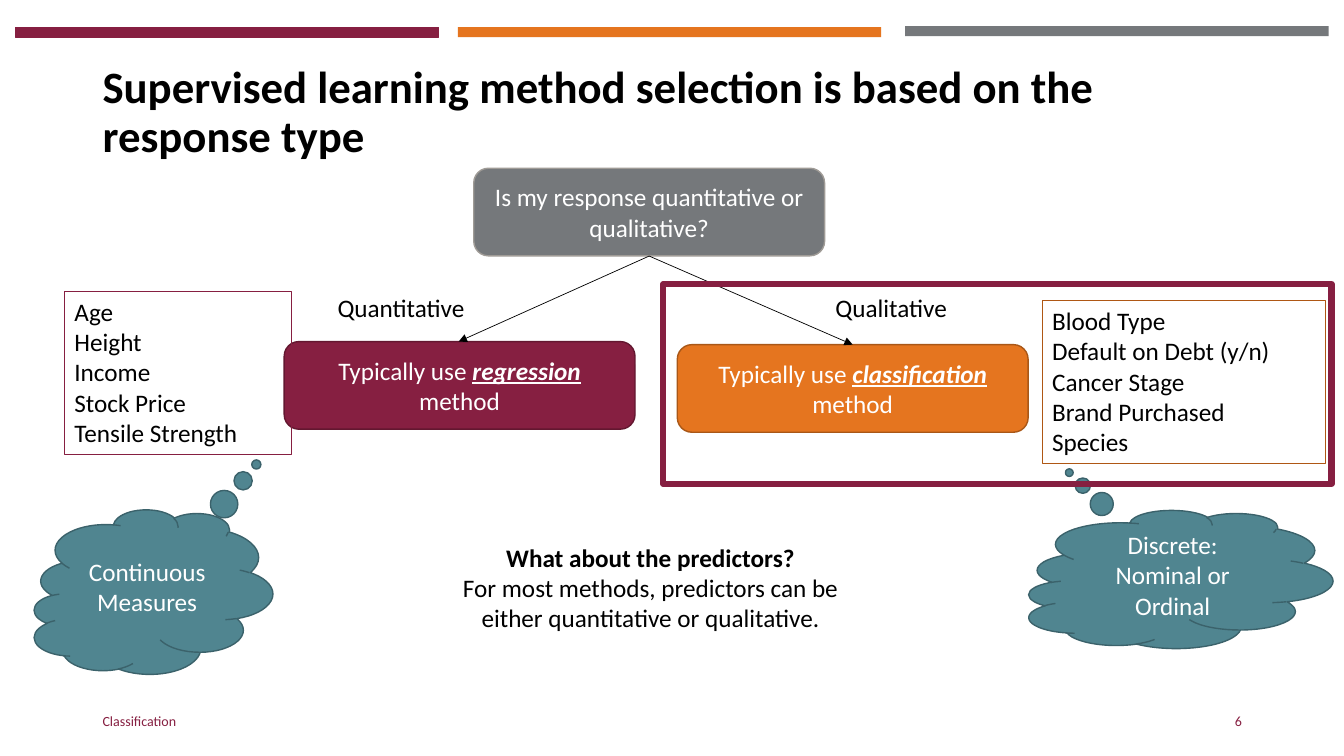
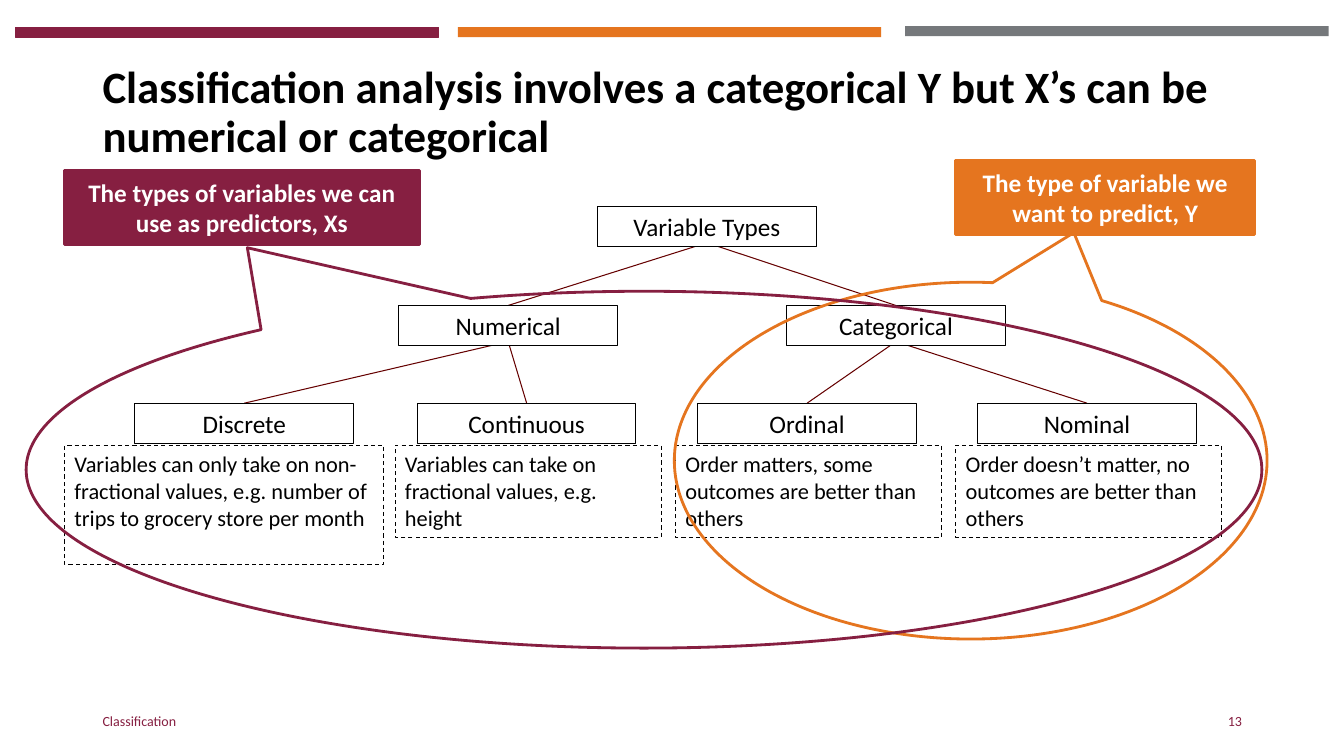
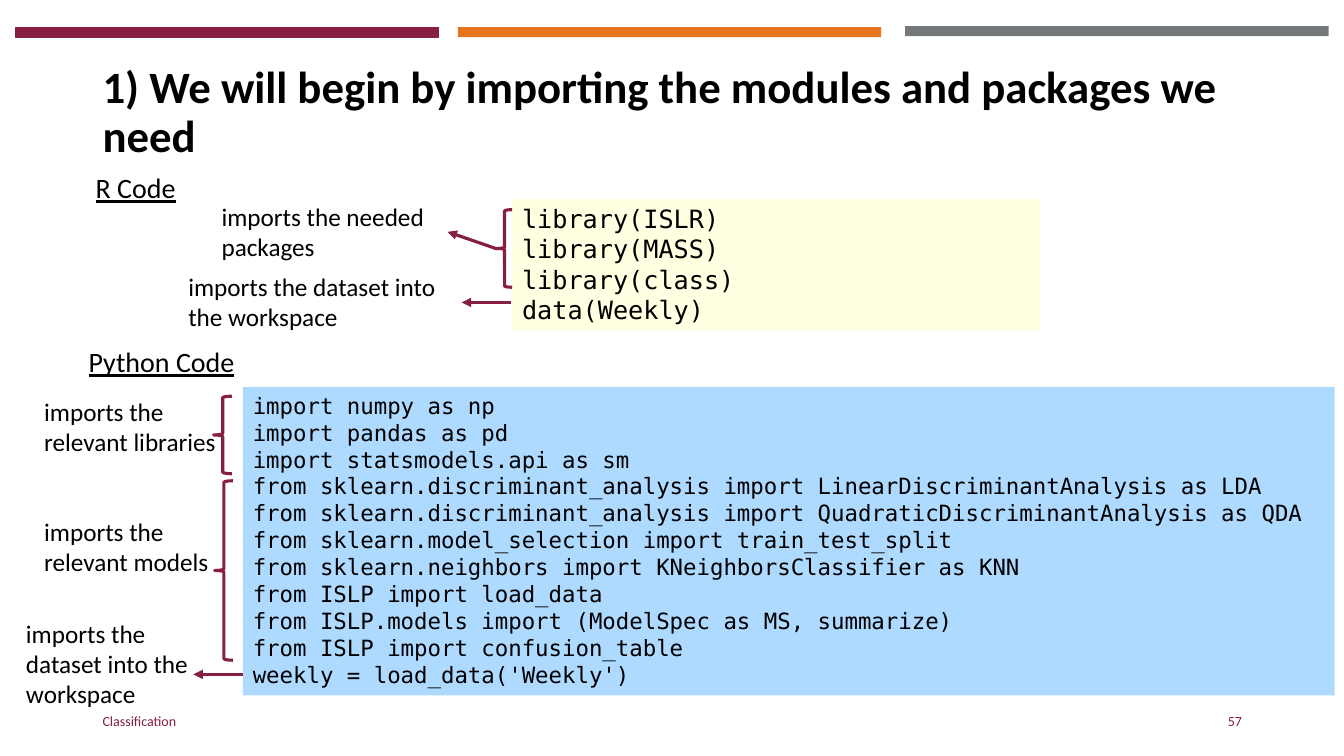
from lxml.etree import SubElement
from pptx import Presentation
from pptx.dml.color import RGBColor
from pptx.enum.dml import MSO_LINE
from pptx.enum.shapes import MSO_CONNECTOR, MSO_SHAPE as Shape
from pptx.enum.text import MSO_ANCHOR as Anchor, PP_ALIGN as Align
from pptx.oxml.ns import qn
from pptx.util import Pt

MAROON = RGBColor(0x86, 0x1F, 0x41)
ORANGE = RGBColor(0xE5, 0x75, 0x1F)
GRAY = RGBColor(0x75, 0x78, 0x7B)
TEAL = RGBColor(0x50, 0x85, 0x90)
DARK_MAROON = RGBColor(0x63, 0x17, 0x30)
DARK_ORANGE = RGBColor(0xA9, 0x57, 0x17)
DARK_TEAL = RGBColor(0x3B, 0x62, 0x6B)
BROWN = RGBColor(0xAF, 0x57, 0x14)
WARM_GRAY = RGBColor(0x9F, 0x9B, 0x96)
TREE_RED = RGBColor(0x65, 0x00, 0x00)
PALE_YELLOW = RGBColor(0xFF, 0xFF, 0xE1)
PALE_BLUE = RGBColor(0xAF, 0xDA, 0xFF)
BLACK = RGBColor(0, 0, 0)
WHITE = RGBColor(0xFF, 0xFF, 0xFF)
SANS = "Calibri"
MONO = "DejaVu Sans Mono"


def write(frame, text, size=18, color=BLACK, font=SANS, bold=False, underline=False,
          align=Align.LEFT, anchor=Anchor.TOP, spacing=1.0, emphasis=()):
    """Fill a text frame; newlines part paragraphs and asterisks mark emphasis."""
    frame.word_wrap = True
    frame.vertical_anchor = anchor
    for index, content in enumerate(text.split("\n")):
        paragraph = frame.add_paragraph() if index else frame.paragraphs[0]
        paragraph.alignment = align
        paragraph.line_spacing = spacing
        for position, part in enumerate(content.split("*")):
            if not part:
                continue
            run = paragraph.add_run()
            run.text = part
            run.font.name = font
            run.font.size = Pt(size)
            run.font.color.rgb = color
            run.font.bold = bold
            run.font.underline = underline
            if position % 2:
                for name in emphasis:
                    setattr(run.font, name, True)


class Deck:
    """Hold the shared style and the current slide."""

    def __init__(self):
        """Start an empty widescreen presentation."""
        self.presentation = Presentation()
        self.presentation.slide_width = Pt(960)
        self.presentation.slide_height = Pt(540)
        self.slide = None

    def start(self, title, number):
        """Add a slide with bands, title and footer."""
        self.slide = self.presentation.slides.add_slide(self.presentation.slide_layouts[6])
        self.shape(Shape.RECTANGLE, (11, 19.4, 302.4, 7.2), fill=MAROON, line=MAROON)
        self.shape(Shape.RECTANGLE, (327, 19.4, 302.4, 7.2), fill=ORANGE)
        self.shape(Shape.RECTANGLE, (646.6, 18.7, 302.4, 7.2), fill=GRAY)
        self.text((66.2, 28.8, 828, 104.4), title, size=32, bold=True,
                  anchor=Anchor.MIDDLE, spacing=0.9)
        footer = dict(size=10, color=MAROON, anchor=Anchor.MIDDLE)
        self.text((66.2, 500.4, 324, 28.8), "Classification", **footer)
        self.text((678.2, 500.4, 216, 28.8), str(number), align=Align.RIGHT, **footer)

    def text(self, box, text, **style):
        """Add a text box."""
        write(self.slide.shapes.add_textbox(*map(Pt, box)).text_frame, text, **style)

    def shape(self, kind, box, text="", fill=None, line=None, width=0.75,
              dashed=False, adjustments=(), **style):
        """Add a preset shape with optional text."""
        shape = self.slide.shapes.add_shape(kind, *map(Pt, box))
        shape.shadow.inherit = False
        for index, value in enumerate(adjustments):
            shape.adjustments[index] = value
        if fill is None:
            shape.fill.background()
        else:
            shape.fill.solid()
            shape.fill.fore_color.rgb = fill
        if line is None:
            shape.line.fill.background()
        else:
            shape.line.color.rgb = line
            shape.line.width = Pt(width)
        if dashed:
            shape.line.dash_style = MSO_LINE.DASH
        if text:
            write(shape.text_frame, text, **style)
        return shape

    def label(self, kind, box, text, fill, line, width=1, **style):
        """Add a filled shape with white text in its middle."""
        return self.shape(kind, box, text, fill, line, width, color=WHITE,
                          align=Align.CENTER, anchor=Anchor.MIDDLE, **style)

    def cloud(self, box, text, adjustments):
        """Add a thought cloud turned on its side with upright text."""
        cloud = self.label(Shape.CLOUD_CALLOUT, box, text, TEAL, DARK_TEAL,
                           adjustments=adjustments)
        cloud.rotation = 270
        cloud.element.spPr.find(qn("a:xfrm")).set("flipH", "1")
        cloud.text_frame._txBody.find(qn("a:bodyPr")).set("vert", "vert")

    def line(self, start, end, color, width, arrow=False):
        """Add a straight line, with an arrowhead at its end if asked."""
        connector = self.slide.shapes.add_connector(
            MSO_CONNECTOR.STRAIGHT, *map(Pt, (*start, *end)))
        connector.line.color.rgb = color
        connector.line.width = Pt(width)
        properties = connector.element.spPr
        if arrow:
            SubElement(properties.find(qn("a:ln")), qn("a:tailEnd"), type="triangle")
        SubElement(properties, qn("a:effectLst"))


def method_slide(deck):
    """Build the choice between regression and classification."""
    deck.start("Supervised learning method selection is based on the response type", 6)
    for left, top, text, fill, line in (
            (338.4, 120.2, "Is my response quantitative or qualitative?", GRAY, WARM_GRAY),
            (203, 244, "Typically use *regression* method", MAROON, DARK_MAROON),
            (483.8, 246.2, "Typically use *classification* method", ORANGE, DARK_ORANGE)):
        deck.label(Shape.ROUNDED_RECTANGLE, (left, top, 250.6, 62.6), text, fill, line,
                   emphasis=("bold", "italic", "underline"))
    for end in ((327.6, 244), (609.1, 246.2)):
        deck.line((463.7, 182.9), end, BLACK, 0.5, arrow=True)
    for left, text in ((234, "Quantitative"), (589.7, "Qualitative")):
        deck.text((left, 205.2, 147.6, 28.8), text)
    deck.shape(Shape.RECTANGLE, (46.1, 208.1, 162, 116.6),
               "Age\nHeight\nIncome\nStock Price\nTensile Strength", line=MAROON)
    deck.shape(Shape.RECTANGLE, (744.5, 214.6, 202.3, 116.6),
               "Blood Type\nDefault on Debt (y/n)\nCancer Stage\nBrand Purchased\nSpecies",
               line=BROWN)
    deck.text((224.6, 383.8, 480.2, 72.7),
              "*What about the predictors?*\nFor most methods, predictors can be\n"
              "either quantitative or qualitative.",
              align=Align.CENTER, emphasis=("bold",))
    deck.cloud((50.4, 337.7, 117.4, 170.6), "Continuous Measures", (-0.777, 0.434))
    deck.cloud((793.4, 305.3, 98.6, 217.4), "Discrete:\nNominal or Ordinal", (-0.775, -0.363))
    deck.shape(Shape.RECTANGLE, (473.8, 203, 477.4, 142.6), line=MAROON, width=4.5)


def variable_slide(deck):
    """Build the tree of variable types."""
    deck.start("Classification analysis involves a categorical Y but X’s can be "
               "numerical or categorical", 13)
    node_width, node_height = 156.2, 28.8
    nodes = {
        "Variable Types": (505, 147.6, None),
        "Numerical": (363, 218.2, "Variable Types"),
        "Categorical": (640, 218.2, "Variable Types"),
        "Discrete": (174.5, 288, "Numerical"),
        "Continuous": (376.2, 288, "Numerical"),
        "Ordinal": (576.5, 288, "Categorical"),
        "Nominal": (776.5, 288, "Categorical"),
    }
    for center, top, parent in nodes.values():
        if parent:
            parent_center, parent_top, _ = nodes[parent]
            deck.line((parent_center, parent_top + node_height - 3), (center, top),
                      TREE_RED, 0.75)
    for name, (center, top, _) in nodes.items():
        deck.shape(Shape.RECTANGLE, (center - node_width / 2, top, node_width, node_height),
                   name, WHITE, BLACK, align=Align.CENTER)
    for left, width, height, text in (
            (46.1, 228.2, 85, "Variables can only take on non-fractional values, "
                              "e.g. number of trips to grocery store per month"),
            (282.2, 190, 65.5, "Variables can take on fractional values, e.g. height"),
            (482.4, 190, 65.5, "Order matters, some outcomes are better than others"),
            (682.6, 190, 65.5, "Order doesn’t matter, no outcomes are better than others")):
        deck.shape(Shape.RECTANGLE, (left, 318.2, width, height), text, WHITE, BLACK,
                   dashed=True, size=16)
    for color, ellipse, tip, box, text in (
            (ORANGE, (481.7, 201.6, 423.4, 254.9), (0.174, -0.639),
             (682.6, 114.5, 213.8, 53.3), "The type of variable we want to predict, Y"),
            (MAROON, (18.7, 208.1, 882.7, 254.9), (-0.321, -0.622),
             (46.1, 121.7, 253.4, 53.3), "The types of variables we can use as predictors, Xs")):
        deck.shape(Shape.OVAL_CALLOUT, ellipse, line=color, width=2, adjustments=tip)
        deck.label(Shape.RECTANGLE, box, text, color, color, 2, bold=True)


def import_slide(deck):
    """Build the R and Python import listings."""
    deck.start("1) We will begin by importing the modules and packages we need", 57)
    for left, top, text in ((61.2, 105.8, "R Code"), (56.2, 230.4, "Python Code")):
        deck.text((left, top, 159.8, 43.9), text, size=20, underline=True,
                  anchor=Anchor.MIDDLE, spacing=1.5)
    deck.shape(Shape.RECTANGLE, (365.8, 141.8, 377.3, 94.3),
               "library(ISLR)\nlibrary(MASS)\nlibrary(class)\ndata(Weekly)",
               PALE_YELLOW, font=MONO)
    deck.shape(Shape.RECTANGLE, (173.5, 276.5, 779.8, 220.3), """import numpy as np
import pandas as pd
import statsmodels.api as sm
from sklearn.discriminant_analysis import LinearDiscriminantAnalysis as LDA
from sklearn.discriminant_analysis import QuadraticDiscriminantAnalysis as QDA
from sklearn.model_selection import train_test_split
from sklearn.neighbors import KNeighborsClassifier as KNN
from ISLP import load_data
from ISLP.models import (ModelSpec as MS, summarize)
from ISLP import confusion_table
weekly = load_data('Weekly')""", PALE_BLUE, size=16, font=MONO)
    for left, top, width, height, text in (
            (151.2, 140.4, 168.5, 51.1, "imports the needed packages"),
            (127.4, 190.1, 202.3, 51.1, "imports the dataset into the workspace"),
            (24.5, 279.4, 139.7, 72.7, "imports the relevant libraries"),
            (24.5, 365, 144, 72.7, "imports the relevant models"),
            (11.5, 437.8, 144, 72.7, "imports the dataset into the workspace")):
        deck.text((left, top, width, height), text)
    for box in ((355, 149.8, 10.8, 55.4), (152.6, 283, 13, 55.4), (153.4, 343.4, 13, 128.2)):
        deck.shape(Shape.LEFT_BRACE, box, line=MAROON, width=2.25, adjustments=(0.083, 0.5))
    for start, end in (((355, 177.8), (319.7, 165.6)), ((365, 216), (329.8, 216)),
                       ((173.5, 481.7), (138.2, 481.7))):
        deck.line(start, end, MAROON, 2.25, arrow=True)


def main():
    """Build and save the slides."""
    deck = Deck()
    method_slide(deck)
    variable_slide(deck)
    import_slide(deck)
    deck.presentation.save("out.pptx")


if __name__ == "__main__":
    main()
